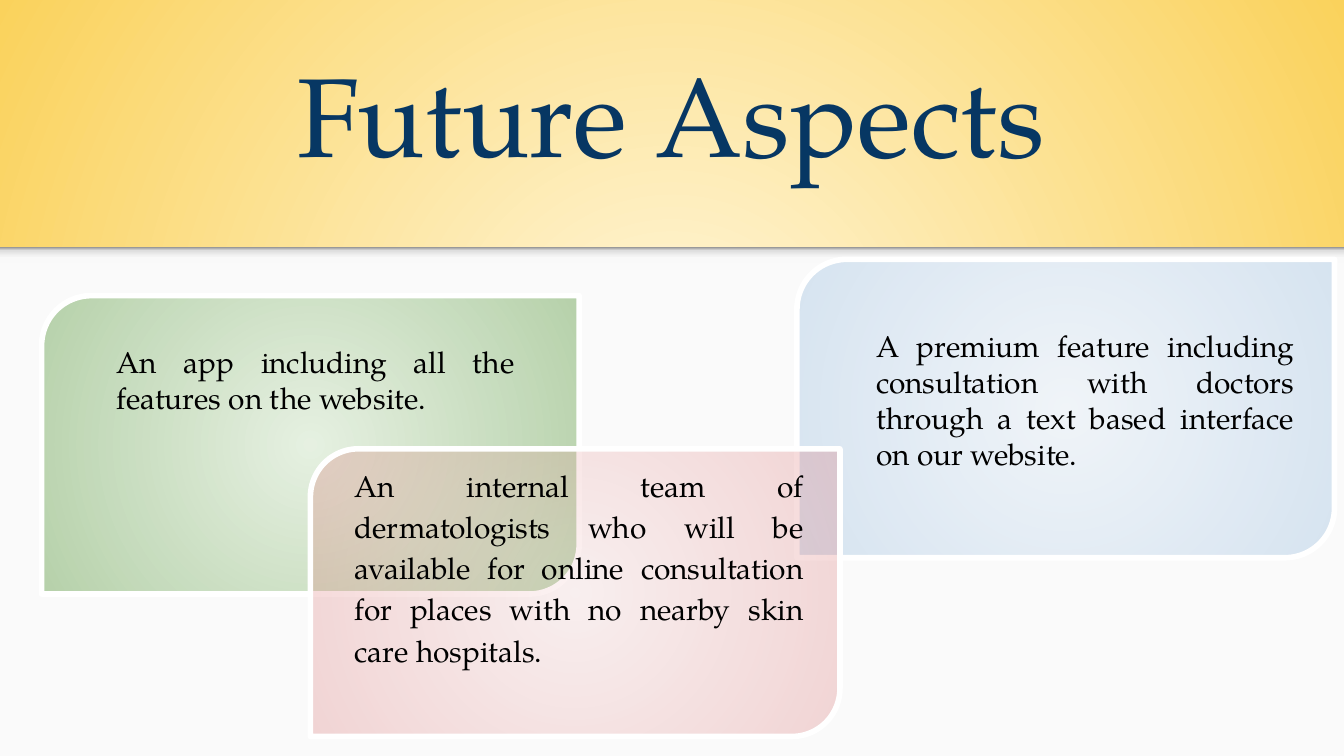
from pptx import Presentation
from pptx.dml.color import RGBColor
from pptx.enum import shapes, text
from pptx.oxml import parse_xml
from pptx.oxml.ns import nsdecls, qn
from pptx.util import Inches, Pt

FONT = "TeX Gyre Pagella"
WIDE = 10
HIGH = WIDE * 9 / 16
BAND = 1.84
KIND = shapes.MSO_SHAPE
ALIGN = text.PP_ALIGN
RADIAL = (
    '<a:path path="circle">'
    '<a:fillToRect l="50000" t="50000" r="50000" b="50000"/></a:path>'
)
UPWARD = '<a:lin ang="16200000" scaled="0"/>'


def color(code):
    return RGBColor.from_string(code)


def blend(root, fill, stops, course=RADIAL, alpha=100):
    fill.gradient()
    old = next(root.iter(qn("a:gradFill")))
    marks = "".join(
        f'<a:gs pos="{pos * 1000}"><a:srgbClr val="{code}">'
        f'<a:alpha val="{alpha * 1000}"/></a:srgbClr></a:gs>'
        for pos, code in stops
    )
    new = parse_xml(
        f'<a:gradFill {nsdecls("a")} rotWithShape="1">'
        f"<a:gsLst>{marks}</a:gsLst>{course}</a:gradFill>"
    )
    old.getparent().replace(old, new)


def add_form(slide, kind, box):
    form = slide.shapes.add_shape(kind, *map(Inches, box))
    form.shadow.inherit = False
    form.line.fill.background()
    return form


def add_base(slide):
    blend(slide._element, slide.background.fill, [(0, "FFF6DB"), (100, "FAD25C")])
    body = add_form(slide, KIND.RECTANGLE, (0, BAND, WIDE, HIGH - BAND))
    body.fill.solid()
    body.fill.fore_color.rgb = color("FAFAFA")
    shade = add_form(slide, KIND.RECTANGLE, (0, BAND, WIDE, 0.12))
    stops = [(0, "F9F9F9"), (36, "F9F9F9"), (80, "DEDEDE"), (100, "999999")]
    blend(shade._element, shade.fill, stops, UPWARD)


def add_panel(slide, box, inner, outer, alpha):
    panel = add_form(slide, KIND.ROUND_2_DIAG_RECTANGLE, box)
    panel.adjustments[0] = 0.167
    panel.adjustments[1] = 0
    blend(panel._element, panel.fill, [(0, inner), (100, outer)], alpha=alpha)
    panel.line.color.rgb = color("FFFFFF")
    panel.line.width = Pt(3)


def add_text(slide, box, words, size=16, code="000000", align=ALIGN.JUSTIFY,
             anchor=text.MSO_ANCHOR.TOP, before=0, after=12, lines=1.0):
    frame = slide.shapes.add_textbox(*map(Inches, box)).text_frame
    frame.word_wrap = True
    frame.vertical_anchor = anchor
    frame.margin_left = frame.margin_right = Inches(0.1)
    frame.margin_top = frame.margin_bottom = Inches(0.1)
    para = frame.paragraphs[0]
    para.text = words
    para.alignment = align
    para.line_spacing = lines
    para.space_before = Pt(before)
    para.space_after = Pt(after)
    para.font.name = FONT
    para.font.size = Pt(size)
    para.font.color.rgb = color(code)


def main():
    deck = Presentation()
    deck.slide_width, deck.slide_height = Inches(WIDE), Inches(HIGH)
    slide = deck.slides.add_slide(deck.slide_layouts[6])
    add_base(slide)
    add_text(slide, (0.5, 0.26, 8.99, 1.18), "Future Aspects", 60, "073763",
             ALIGN.CENTER, text.MSO_ANCHOR.BOTTOM, after=0)
    add_panel(slide, (5.93, 1.93, 4, 2.22), "D4E5F5", "70A4D5", 26)
    add_panel(slide, (0.31, 2.2, 4, 2.22), "DCECD5", "93BC81", 65)
    add_panel(slide, (2.31, 3.34, 3.94, 2.14), "F5D0D0", "D96868", 26)
    add_text(slide, (6.42, 2.34, 3.31, 1.68),
             "A premium feature including consultation with doctors "
             "through a text based interface on our website.")
    add_text(slide, (2.54, 3.34, 3.54, 1.93),
             "An internal team of dermatologists who will be available for "
             "online consultation for places with no nearby skin care hospitals.",
             before=12, lines=1.15)
    add_text(slide, (0.77, 2.46, 3.16, 0.71),
             "An app including all the features on the website.")
    deck.save("out.pptx")


if __name__ == "__main__":
    main()
